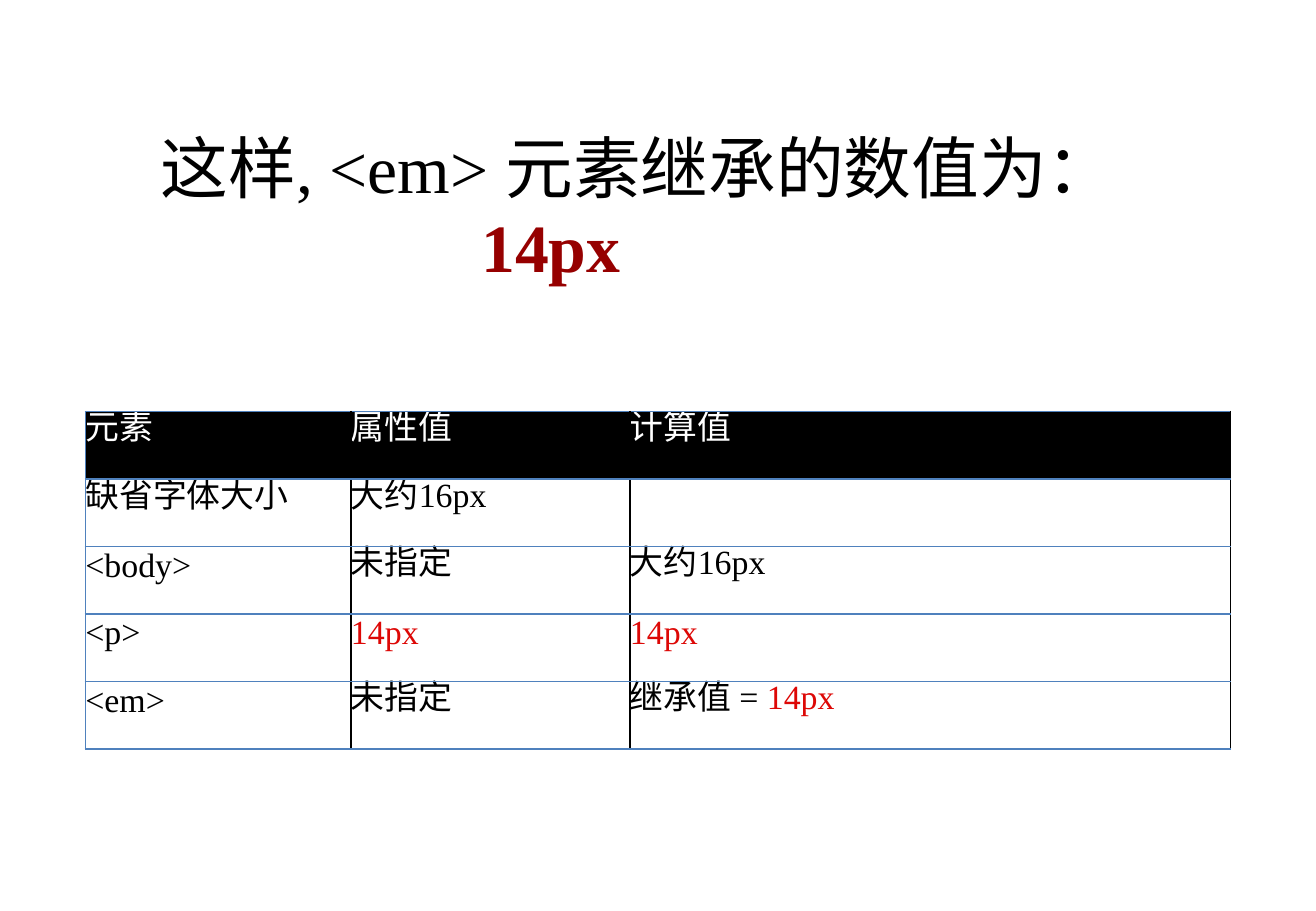
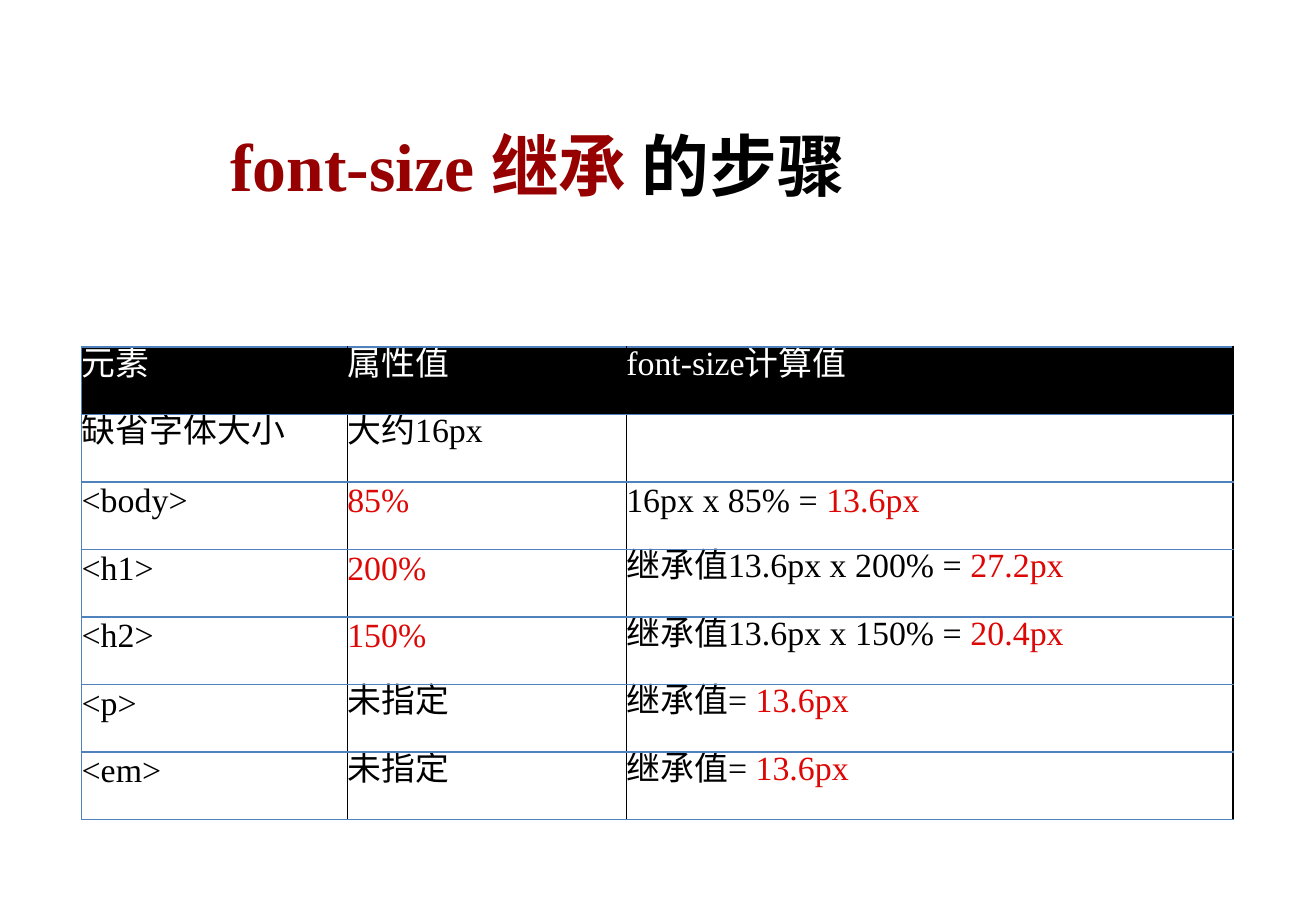
from lxml.etree import SubElement
from pptx import Presentation
from pptx.dml.color import RGBColor
from pptx.enum.text import MSO_ANCHOR, MSO_AUTO_SIZE, PP_ALIGN
from pptx.oxml.ns import qn
from pptx.util import Inches, Pt

FONT = "Times New Roman"
BLACK, WHITE, BLUE = "000000", "FFFFFF", "4F81BD"
RED, DARK_RED = "DD0806", "960000"
TITLE_SIZE, CELL_SIZE = 40, 20
TITLE_LEADING, CELL_LEADING = 44.7, 22.4
ROW_HEIGHT = 2.77 / 5
TITLE_ONLY = 5


def colour(hex_string):
    return RGBColor.from_string(hex_string)


def write_line(paragraph, parts, size, leading, bold=False):
    paragraph.alignment = PP_ALIGN.LEFT
    paragraph.line_spacing = Pt(leading)
    paragraph.font.name = FONT
    paragraph.font.size = Pt(size)
    paragraph.font.bold = bold
    for text, ink in parts:
        if text:
            run = paragraph.add_run()
            run.text = text
            run.font.color.rgb = colour(ink)


def place_heading(heading, box, parts, leading=TITLE_LEADING, bold=True):
    heading.left, heading.top, heading.width, heading.height = map(Inches, box)
    frame = heading.text_frame
    frame.word_wrap = True
    frame.auto_size = MSO_AUTO_SIZE.NONE
    frame.vertical_anchor = MSO_ANCHOR.TOP
    frame.margin_left = frame.margin_top = frame.margin_right = frame.margin_bottom = 0
    write_line(frame.paragraphs[0], parts, TITLE_SIZE, leading, bold)


def set_borders(cell, left_ink):
    properties = cell._tc.get_or_add_tcPr()
    for side, ink in (("L", left_ink), ("R", BLACK), ("T", BLUE), ("B", BLUE)):
        border = SubElement(properties, qn(f"a:ln{side}"), w=str(Pt(1)))
        fill = SubElement(border, qn("a:solidFill"))
        SubElement(fill, qn("a:srgbClr"), val=ink)


def add_value_table(slide, left, top, column_widths, rows):
    table = slide.shapes.add_table(
        len(rows), len(column_widths), Inches(left), Inches(top),
        Inches(sum(column_widths)), Inches(ROW_HEIGHT * len(rows))).table
    table.first_row = table.horz_banding = False
    for column, width in zip(table.columns, column_widths):
        column.width = Inches(width)
    for row_index, row in enumerate(rows):
        table.rows[row_index].height = Inches(ROW_HEIGHT)
        ink, background = (BLACK, WHITE) if row_index else (WHITE, BLACK)
        for column_index, content in enumerate(row):
            cell = table.cell(row_index, column_index)
            cell.margin_left = cell.margin_top = cell.margin_right = cell.margin_bottom = 0
            set_borders(cell, BLACK if column_index else BLUE)
            cell.fill.solid()
            cell.fill.fore_color.rgb = colour(background)
            plain, _, result = content.partition("|")
            write_line(cell.text_frame.paragraphs[0],
                       [(plain, ink), (result, RED)], CELL_SIZE, CELL_LEADING)


def build_inherited_value(deck):
    slide = deck.slides.add_slide(deck.slide_layouts[TITLE_ONLY])
    add_value_table(slide, 0.7, 3.38, (2.18, 2.29, 4.93), [
        ("元素", "属性值", "计算值"),
        ("缺省字体大小", "大约16px", ""),
        ("<body>", "未指定", "大约16px"),
        ("<p>", "|14px", "|14px"),
        ("<em>", "未指定", "继承值 = |14px"),
    ])
    place_heading(slide.shapes.title, (1.32, 1.06, 8.3, 0.65),
                  [("这样, <em> 元素继承的数值为：", BLACK)], leading=46, bold=False)
    answer = slide.shapes.add_textbox(0, 0, 0, 0)
    place_heading(answer, (3.95, 1.73, 1.25, 0.63), [("14px", DARK_RED)])


def build_inheritance_steps(deck):
    slide = deck.slides.add_slide(deck.slide_layouts[TITLE_ONLY])
    add_value_table(slide, 0.67, 2.85, (2.18, 2.29, 4.98), [
        ("元素", "属性值", "font-size计算值"),
        ("缺省字体大小", "大约16px", ""),
        ("<body>", "|85%", "16px x 85% = |13.6px"),
        ("<h1>", "|200%", "继承值13.6px x 200% = |27.2px"),
        ("<h2>", "|150%", "继承值13.6px x 150% = |20.4px"),
        ("<p>", "未指定", "继承值= |13.6px"),
        ("<em>", "未指定", "继承值= |13.6px"),
    ])
    place_heading(slide.shapes.title, (1.89, 1.06, 5.12, 0.63),
                  [("font-size 继承 ", DARK_RED), ("的步骤", BLACK)])


def main():
    deck = Presentation()
    deck.slide_width, deck.slide_height = Inches(10.8), Inches(7.48)
    build_inherited_value(deck)
    build_inheritance_steps(deck)
    deck.save("out.pptx")


if __name__ == "__main__":
    main()
